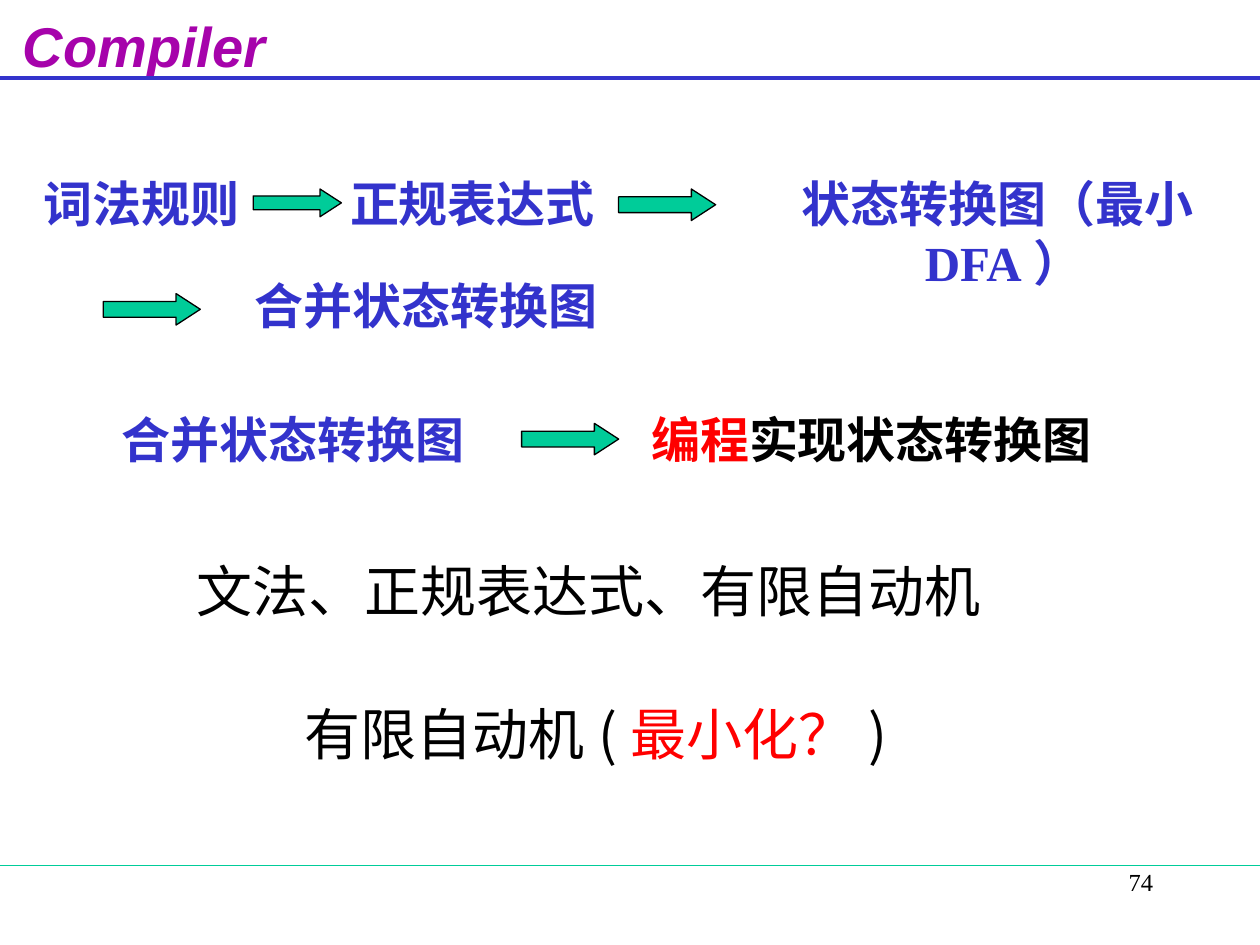
from dataclasses import dataclass
from lxml.etree import SubElement
from pptx import Presentation
from pptx.dml.color import RGBColor
from pptx.enum.shapes import MSO_CONNECTOR, MSO_SHAPE
from pptx.enum.text import MSO_ANCHOR, MSO_AUTO_SIZE, PP_ALIGN
from pptx.oxml.ns import qn
from pptx.util import Inches, Pt


@dataclass(frozen=True)
class Theme:
    blue: str = "3333CC"
    green: str = "00CC99"
    purple: str = "A603AB"
    red: str = "FF0000"
    black: str = "000000"
    serif: str = "Times New Roman"
    sans: str = "Arial"
    cjk: str = "Noto Sans CJK SC"
    large: int = 32
    medium: int = 28
    small: int = 14


T = Theme()


def write(s, runs, align, tab=None, **fmt):
    tf = s.text_frame
    frame = {"word_wrap": True, "auto_size": MSO_AUTO_SIZE.NONE, "vertical_anchor": MSO_ANCHOR.TOP}
    for name, value in frame.items():
        setattr(tf, name, value)
    p = tf.paragraphs[0]
    p.alignment = align
    if tab:
        tabs = SubElement(p._p.get_or_add_pPr(), qn("a:tabLst"))
        SubElement(tabs, qn("a:tab"), pos=str(Inches(tab)), algn="l")
    for text, color in runs:
        r = p.add_run()
        r.text = text
        for name, value in fmt.items():
            setattr(r.font, name, value)
        r.font.color.rgb = RGBColor.from_string(color)
        SubElement(r._r.get_or_add_rPr(), qn("a:ea"), typeface=T.cjk)


prs = Presentation()
prs.slide_width, prs.slide_height = Inches(10), Inches(7.5)
s = prs.slides.add_slide(prs.slide_layouts[5])

title = s.shapes.title
box = {"left": 0.08, "top": 0.04, "width": 2.3, "height": 0.62}
for name, value in box.items():
    setattr(title, name, Inches(value))
write(title, [("Compiler", T.purple)], PP_ALIGN.LEFT,
      name=T.sans, size=Pt(T.large), bold=True, italic=True)

for y, color, weight in [(0.62, T.blue, 2.25), (6.87, T.green, 0.75)]:
    rule = s.shapes.add_connector(MSO_CONNECTOR.STRAIGHT, 0, Inches(y), prs.slide_width, Inches(y))
    rule.line.color.rgb = RGBColor.from_string(color)
    rule.line.width = Pt(weight)
    SubElement(rule._element.spPr, qn("a:effectLst"))

step = {"name": T.serif, "size": Pt(T.medium), "bold": True}
topic = {"name": T.cjk, "size": Pt(T.large), "bold": False}
number = {"name": T.serif, "size": Pt(T.small), "bold": False}
left, center, right = PP_ALIGN.LEFT, PP_ALIGN.CENTER, PP_ALIGN.RIGHT
merged = [("合并状态转换图", T.blue)]
texts = [
    (0.25, 1.33, 4.57, 0.57, [("词法规则\t正规表达式", T.blue)], left, 2.43, step),
    (5.73, 1.33, 4.47, 1.04, [("状态转换图（最小DFA）", T.blue)], center, None, step),
    (1.76, 2.14, 3.24, 0.57, merged, center, None, step),
    (0.83, 3.2, 2.99, 0.57, merged, center, None, step),
    (5.07, 3.2, 4.07, 0.57, [("编程", T.red), ("实现状态转换图", T.black)], left, None, step),
    (1.46, 4.37, 6.96, 0.64, [("文法、正规表达式、有限自动机", T.black)], left, None, topic),
    (2.32, 5.5, 5.01, 1.17,
     [("有限自动机(", T.black), ("最小化？", T.red), (")", T.black)], left, None, topic),
    (7.17, 6.83, 2.08, 0.5, [("74", T.black)], right, None, number),
]
for x, y, w, h, runs, align, tab, fmt in texts:
    sp = s.shapes.add_textbox(Inches(x), Inches(y), Inches(w), Inches(h))
    write(sp, runs, align, tab, **fmt)

arrows = [(2.01, 1.5, 0.7, 0.22), (4.91, 1.5, 0.77, 0.25), (0.82, 2.33, 0.77, 0.25), (4.14, 3.36, 0.77, 0.25)]
for x, y, w, h in arrows:
    sp = s.shapes.add_shape(MSO_SHAPE.RIGHT_ARROW, Inches(x), Inches(y), Inches(w), Inches(h))
    sp.shadow.inherit = False
    sp.adjustments[0] = 0.5
    sp.adjustments[1] = 0.77
    sp.fill.solid()
    sp.fill.fore_color.rgb = RGBColor.from_string(T.green)
    sp.line.color.rgb = RGBColor.from_string(T.black)
    sp.line.width = Pt(0.75)

prs.save("out.pptx")
